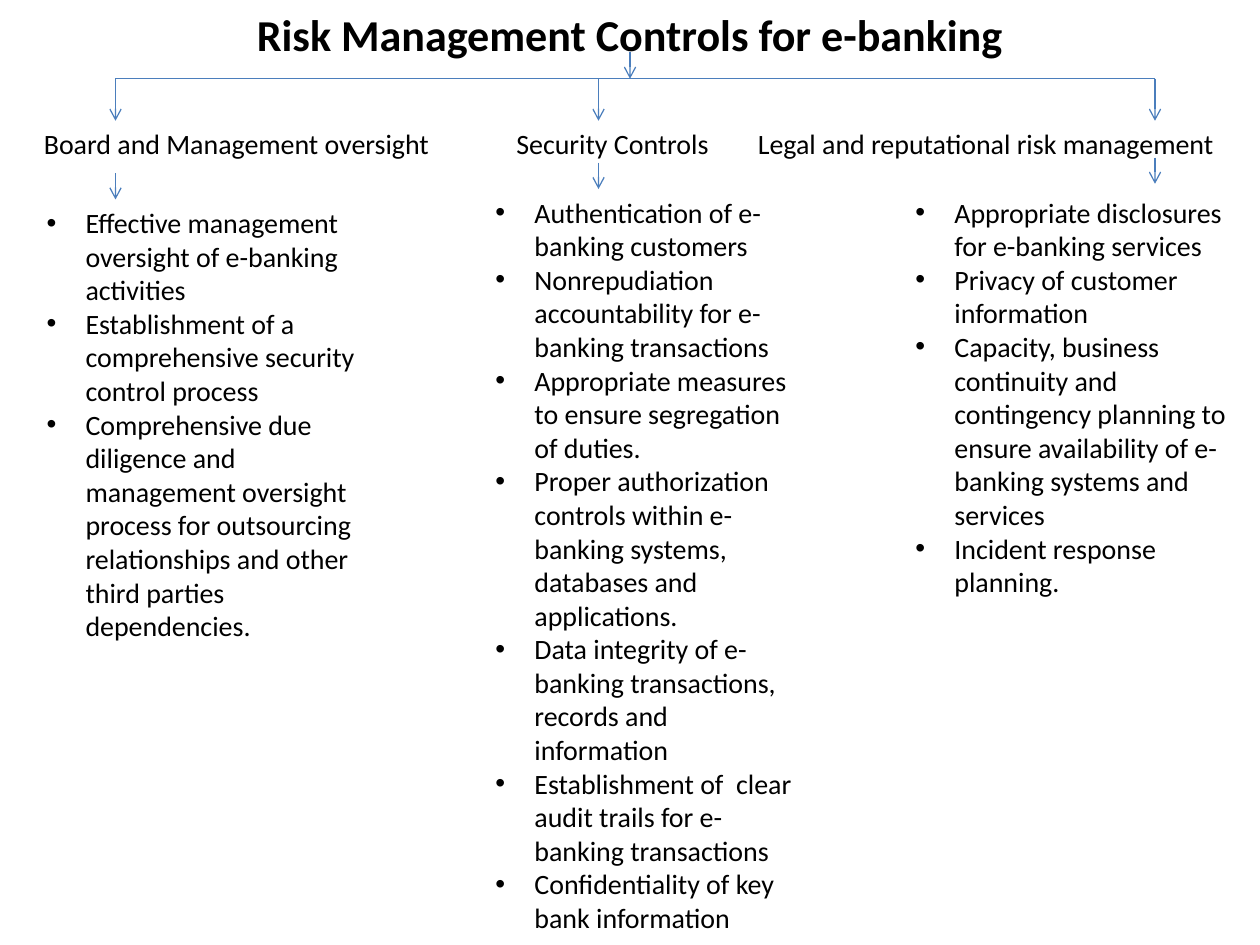
from lxml.etree import SubElement
from pptx import Presentation
from pptx.dml.color import RGBColor
from pptx.enum.shapes import MSO_CONNECTOR
from pptx.enum.text import MSO_ANCHOR, MSO_AUTO_SIZE, PP_ALIGN
from pptx.oxml.ns import qn
from pptx.util import Inches, Pt

BLACK = RGBColor(0x00, 0x00, 0x00)
BLUE = RGBColor(0x4B, 0x7E, 0xBC)
FONT = "Calibri"
COLUMNS, ROWS = 120, 90
BUS_ROW, HEADING_ROW = 7.5, 11.5
ARROW_ROWS = 2.5


def write(p, text, size=16, bold=False, align=None):
    """Fill one paragraph with formatted text."""
    p.alignment = align
    r = p.add_run()
    r.text = text
    r.font.name, r.font.size, r.font.bold = FONT, Pt(size), bold
    r.font.color.rgb = BLACK


def add_bullet(p, indent=0.31):
    pPr = p._p.get_or_add_pPr()
    pPr.set("marL", str(Inches(indent)))
    pPr.set("indent", str(-Inches(indent)))
    SubElement(pPr, qn("a:buFont"), typeface="Arial")
    SubElement(pPr, qn("a:buChar"), char="•")


class Board:
    """A slide measured in columns and rows of a fine grid."""

    def __init__(self, prs):
        self.slide = prs.slides.add_slide(prs.slide_layouts[5])
        self.col = prs.slide_width / COLUMNS
        self.row = prs.slide_height / ROWS

    def x(self, columns):
        return round(columns * self.col)

    def y(self, rows):
        return round(rows * self.row)

    def title(self, text, left, top, width, height):
        sp = self.slide.shapes.title
        sp.left, sp.top = self.x(left), self.y(top)
        sp.width, sp.height = self.x(width), self.y(height)
        tf = sp.text_frame
        tf.auto_size = MSO_AUTO_SIZE.NONE
        tf.vertical_anchor = MSO_ANCHOR.MIDDLE
        write(tf.paragraphs[0], text, size=25.2, bold=True, align=PP_ALIGN.CENTER)

    def text(self, lines, left, top, width, height, bullets=False):
        sp = self.slide.shapes.add_textbox(
            self.x(left), self.y(top), self.x(width), self.y(height))
        tf = sp.text_frame
        tf.word_wrap = True
        tf.auto_size = MSO_AUTO_SIZE.SHAPE_TO_FIT_TEXT
        for i, line in enumerate(lines):
            p = tf.add_paragraph() if i else tf.paragraphs[0]
            write(p, line)
            if bullets:
                add_bullet(p)

    def line(self, x1, y1, x2, y2, arrow=False):
        cxn = self.slide.shapes.add_connector(
            MSO_CONNECTOR.STRAIGHT, self.x(x1), self.y(y1), self.x(x2), self.y(y2))
        cxn.line.color.rgb = BLUE
        cxn.line.width = Pt(0.75)
        if arrow:
            SubElement(cxn.line._get_or_add_ln(), qn("a:tailEnd"), type="arrow")
        SubElement(cxn._element.spPr, qn("a:effectLst"))

    def arrow_down(self, x, top, rows=ARROW_ROWS):
        self.line(x, top, x, top + rows, arrow=True)


# Each branch: heading, its left and width, arrow column, lower arrow row,
# list left, top and height, list items
BRANCHES = [
    ("Board and Management oversight", 3, 41, 11, 16.5, 3.25, 19, 43.2, [
        "Effective management oversight of e-banking activities",
        "Establishment of a comprehensive security control process",
        "Comprehensive due diligence and management oversight process for "
        "outsourcing relationships and other third parties dependencies.",
    ]),
    ("Security Controls", 48, 30, 57, 15.5, 46, 18, 75.5, [
        "Authentication of e-banking customers",
        "Nonrepudiation accountability for e-banking transactions",
        "Appropriate measures to ensure segregation of duties.",
        "Proper authorization controls within e-banking systems, databases "
        "and applications.",
        "Data integrity of e-banking transactions, records and information",
        "Establishment of  clear audit trails for e-banking transactions",
        "Confidentiality of key bank information",
    ]),
    ("Legal and reputational risk management", 71, 48, 110, 15, 86, 18, 40, [
        "Appropriate disclosures for e-banking services",
        "Privacy of customer information",
        "Capacity, business continuity and contingency planning to ensure "
        "availability of e-banking systems and services",
        "Incident response planning.",
    ]),
]

prs = Presentation()
prs.slide_width, prs.slide_height = Inches(10), Inches(7.5)
board = Board(prs)

# Title and the line that splits into branches
board.title("Risk Management Controls for e-banking", 6, 0, 108, 6.4)
board.arrow_down(COLUMNS / 2, BUS_ROW - ARROW_ROWS)
board.line(BRANCHES[0][3], BUS_ROW, BRANCHES[-1][3], BUS_ROW)

# Branches: arrow, heading, arrow, bulleted list
for heading, left, width, arrow_x, arrow_y, list_x, list_y, list_h, items in BRANCHES:
    board.arrow_down(arrow_x, BUS_ROW, HEADING_ROW - BUS_ROW)
    board.text([heading], left, HEADING_ROW, width, 4.4)
    board.arrow_down(arrow_x, arrow_y)
    board.text(items, list_x, list_y, 32, list_h, bullets=True)

prs.save("out.pptx")
